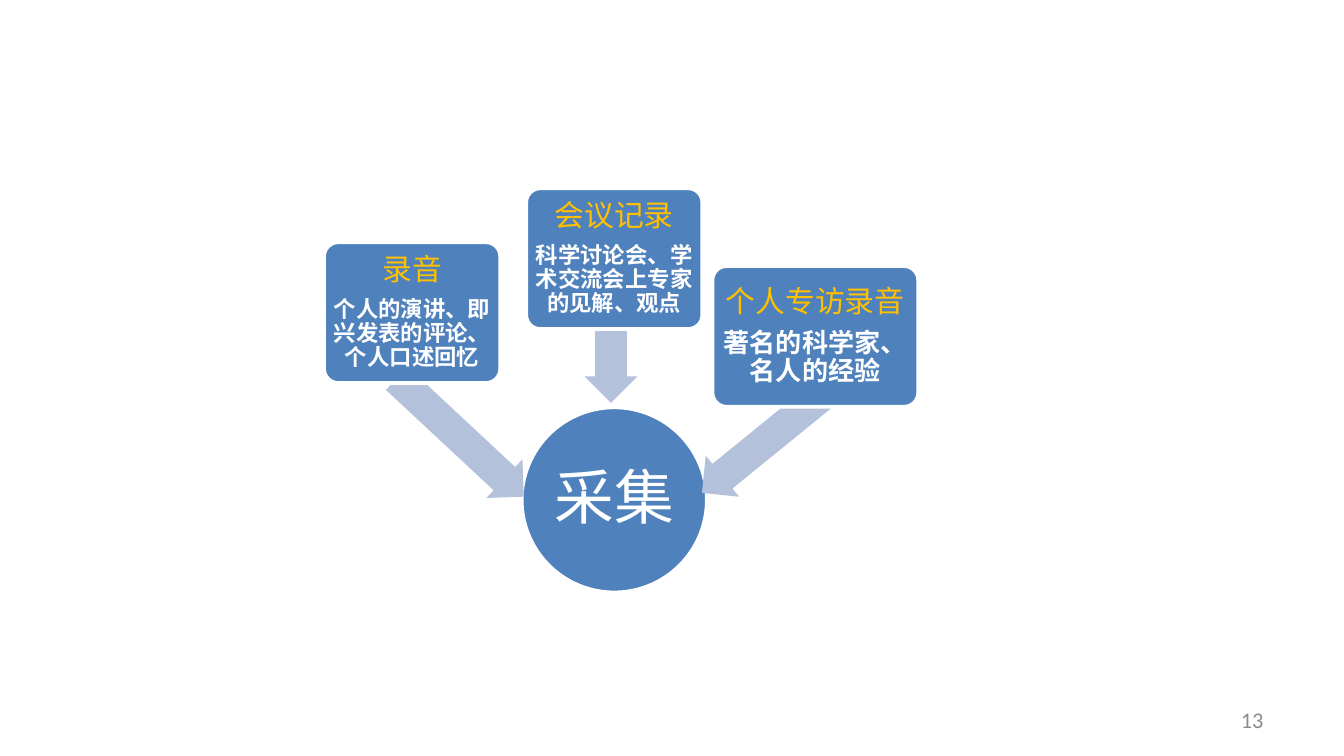
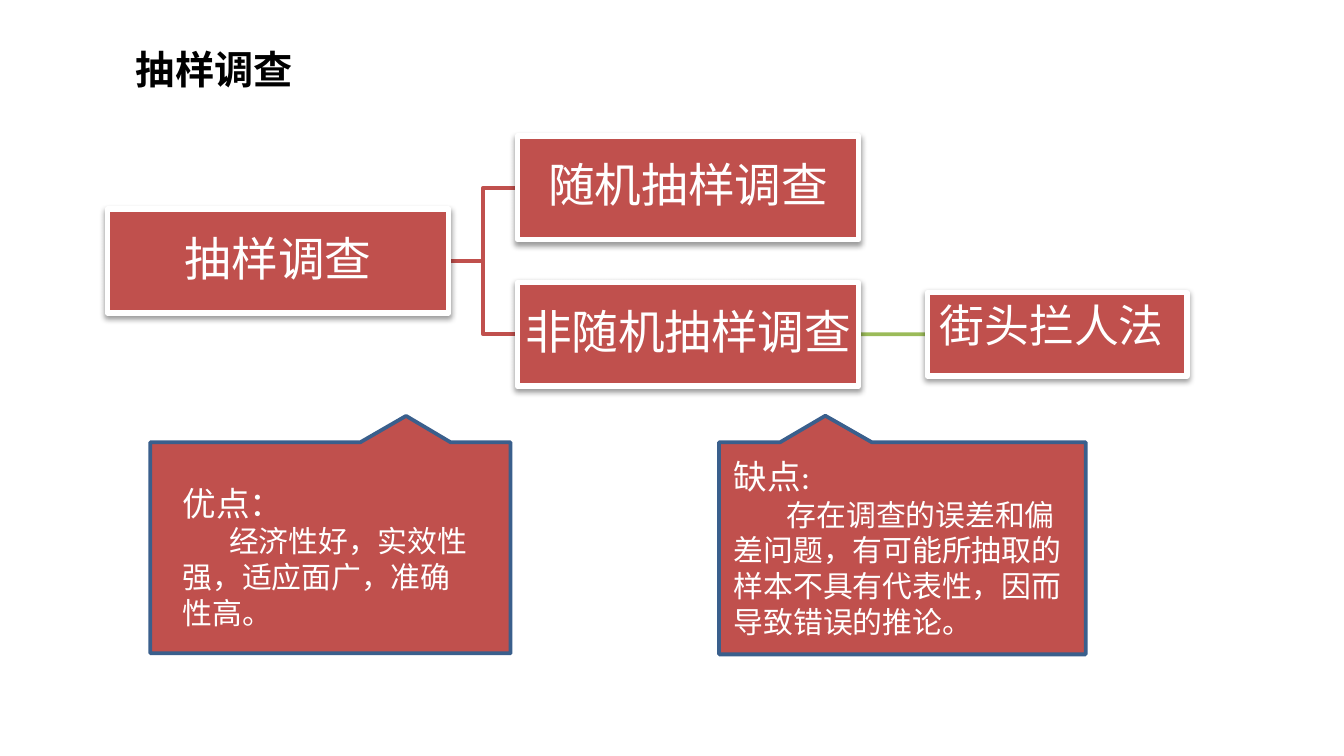
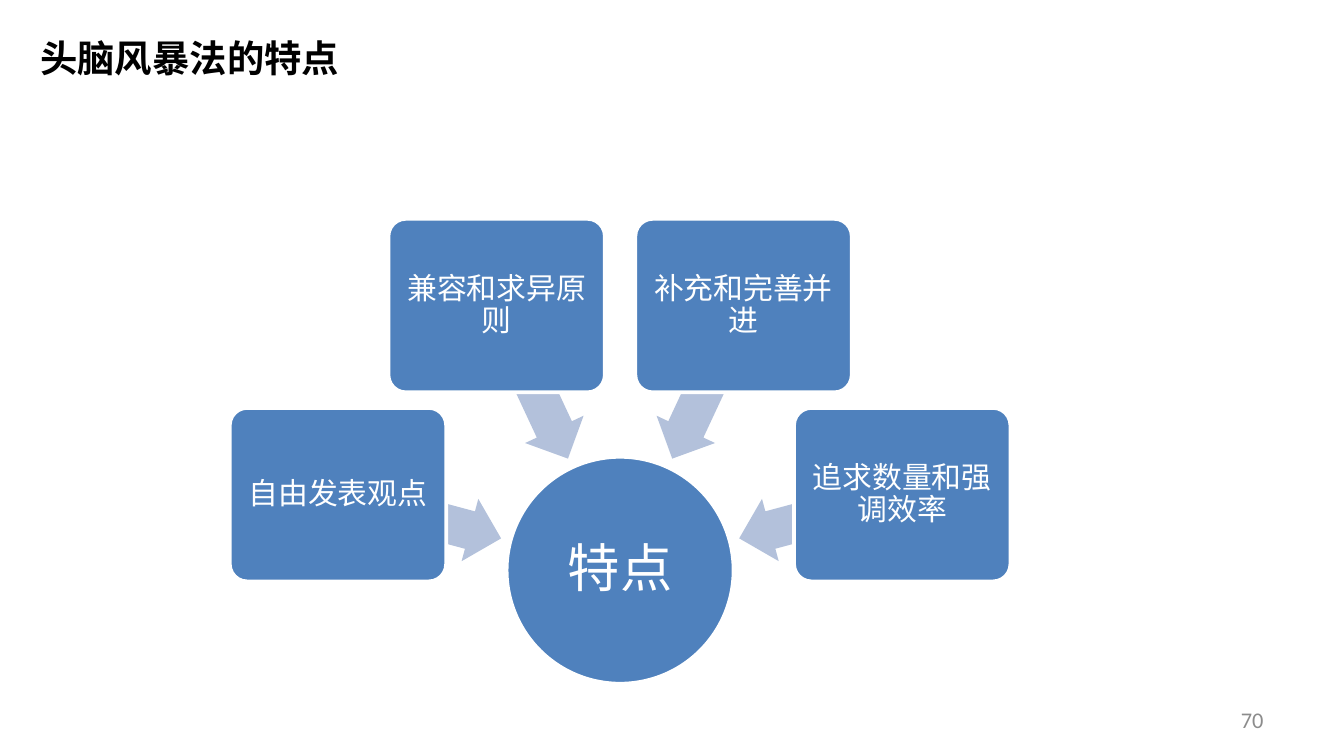
from math import cos, radians, sin

from lxml import etree
from pptx import Presentation
from pptx.dml.color import RGBColor
from pptx.enum.lang import MSO_LANGUAGE_ID
from pptx.enum.shapes import MSO_CONNECTOR, MSO_SHAPE
from pptx.enum.text import MSO_ANCHOR, MSO_AUTO_SIZE, PP_ALIGN
from pptx.oxml.ns import qn
from pptx.util import Cm, Pt

OVAL, RECTANGLE = MSO_SHAPE.OVAL, MSO_SHAPE.RECTANGLE
ROUNDED, LEFT_ARROW = MSO_SHAPE.ROUNDED_RECTANGLE, MSO_SHAPE.LEFT_ARROW
CALLOUT = MSO_SHAPE.RECTANGULAR_CALLOUT
ELBOW, STRAIGHT = MSO_CONNECTOR.ELBOW, MSO_CONNECTOR.STRAIGHT
LEFT, CENTER, RIGHT = PP_ALIGN.LEFT, PP_ALIGN.CENTER, PP_ALIGN.RIGHT
TOP, MIDDLE = MSO_ANCHOR.TOP, MSO_ANCHOR.MIDDLE
NO_FIT = MSO_AUTO_SIZE.NONE
CHINESE = MSO_LANGUAGE_ID.SIMPLIFIED_CHINESE

TITLE_ONLY, BLANK = 5, 6
LEFT_SIDE, RIGHT_SIDE = 1, 3
FONT, HEAVY_FONT = "Calibri", "Noto Sans CJK SC"
COLORS = {
    "white": "FFFFFF", "black": "000000", "gray": "8C8C8C", "gold": "FFC000",
    "blue": "4F81BD", "pale_blue": "B3C1DB", "navy": "3A5F8C",
    "red": "C0504D", "green": "9BBB59",
}
DIAGRAM_TEXT = {"align": CENTER, "line_spacing": 0.9, "space_after": 6}


def color(name):
    return RGBColor.from_string(COLORS[name])


def set_frame(frame, insets=(0.25, 0.13, 0.25, 0.13), anchor=TOP):
    """Set the wrapping, anchor and insets (left, top, right, bottom in cm)."""
    frame.word_wrap = True
    frame.auto_size = NO_FIT
    frame.vertical_anchor = anchor
    (frame.margin_left, frame.margin_top,
     frame.margin_right, frame.margin_bottom) = map(Cm, insets)


def add_text(frame, text, size=16, fill="white", bold=False, font=FONT,
             align=LEFT, line_spacing=None, space_after=0, indent=0):
    """Add a formatted paragraph, filling the empty first one if there is one."""
    paragraph = frame.add_paragraph() if frame.text else frame.paragraphs[0]
    paragraph.alignment = align
    paragraph.space_before = Pt(0)
    paragraph.space_after = Pt(space_after)
    if line_spacing:
        paragraph.line_spacing = line_spacing
    if indent:
        properties = paragraph._p.get_or_add_pPr()
        properties.set("marL", "0")
        properties.set("indent", str(Cm(indent)))
    run = paragraph.add_run()
    run.text = text
    run.font.size = Pt(size)
    run.font.bold = bold
    run.font.name = font
    run.font.language_id = CHINESE
    run.font.color.rgb = color(fill)
    etree.SubElement(run._r.get_or_add_rPr(), qn("a:ea"), typeface=font)


def add_block(slide, kind, left, top, width, height, fill,
              line=None, line_width=2):
    shape = slide.shapes.add_shape(kind, Cm(left), Cm(top), Cm(width), Cm(height))
    shape.shadow.inherit = False
    shape.fill.solid()
    shape.fill.fore_color.rgb = color(fill)
    if line:
        shape.line.color.rgb = color(line)
        shape.line.width = Pt(line_width)
    else:
        shape.line.fill.background()
    return shape


def add_centered_block(slide, kind, center, size, fill, line=None):
    (x, y), (width, height) = center, size
    return add_block(slide, kind, x - width / 2, y - height / 2,
                     width, height, fill, line)


def add_drop_shadow(shape):
    effects = shape.element.spPr.find(qn("a:effectLst"))
    shadow = etree.SubElement(effects, qn("a:outerShdw"), blurRad=str(Pt(3.1)),
                              dist=str(Pt(1.6)), dir="5400000", rotWithShape="0")
    tint = etree.SubElement(shadow, qn("a:srgbClr"), val=COLORS["black"])
    etree.SubElement(tint, qn("a:alpha"), val="38000")


def add_title(slide, text, left, top, width, height, size, font=FONT, **frame_format):
    title = slide.shapes.title
    title.left, title.top = Cm(left), Cm(top)
    title.width, title.height = Cm(width), Cm(height)
    set_frame(title.text_frame, **frame_format)
    add_text(title.text_frame, text, size=size, fill="black", bold=True, font=font)


def add_page_number(slide, number):
    box = slide.shapes.add_textbox(Cm(18.21), Cm(13.23), Cm(5.92), Cm(0.76))
    set_frame(box.text_frame, anchor=MIDDLE)
    add_text(box.text_frame, number, size=12, fill="gray", align=RIGHT)


def add_hub_diagram(slide, center, hub, spokes, arrow_height):
    """Draw a hub circle and its spokes; spoke offsets start at the hub's centre."""
    def from_center(offset):
        return center[0] + offset[0], center[1] + offset[1]

    hub_text, diameter, hub_size = hub
    circle = add_centered_block(slide, OVAL, center, (diameter, diameter),
                                "blue", "white")
    set_frame(circle.text_frame, (0.05,) * 4, MIDDLE)
    add_text(circle.text_frame, hub_text, size=hub_size, **DIAGRAM_TEXT)

    for spoke in spokes:
        arrow = add_centered_block(slide, LEFT_ARROW, from_center(spoke["arrow"]),
                                   (spoke["length"], arrow_height), "pale_blue")
        arrow.adjustments[0], arrow.adjustments[1] = 0.6, 0.5
        arrow.rotation = spoke["angle"]
        card = add_centered_block(slide, ROUNDED, from_center(spoke["card"]),
                                  spoke["size"], "blue", "white")
        card.adjustments[0] = 0.1
        set_frame(card.text_frame, (0.08,) * 4, MIDDLE)
        for text, text_format in spoke["lines"]:
            add_text(card.text_frame, text, **text_format, **DIAGRAM_TEXT)


def add_tree_box(slide, left, top, width, height, text, size=25,
                 insets=(0.05,) * 4, anchor=MIDDLE, **text_format):
    box = add_block(slide, RECTANGLE, left, top, width, height, "red", "white", 3)
    add_drop_shadow(box)
    set_frame(box.text_frame, insets, anchor)
    add_text(box.text_frame, text, size=size, **text_format)
    return box


def add_link(slide, kind, start, end, line):
    """Join two boxes, right side to left side, behind all boxes."""
    link = slide.shapes.add_connector(kind, 0, 0, 0, 0)
    link.begin_connect(start, RIGHT_SIDE)
    link.end_connect(end, LEFT_SIDE)
    link.line.color.rgb = color(line)
    link.line.width = Pt(2)
    etree.SubElement(link.element.spPr, qn("a:effectLst"))
    link.element.getparent().insert(2, link.element)


def add_survey_tree(slide, left, top):
    width, height, column_step, row_step = 6.45, 1.96, 7.75, 2.77
    leaf_width, leaf_height = 4.9, 1.58
    root = add_tree_box(slide, left, top + row_step / 2, width, height,
                        "抽样调查", **DIAGRAM_TEXT)
    for row, text in enumerate(("随机抽样调查", "非随机抽样调查")):
        branch = add_tree_box(slide, left + column_step, top + row * row_step,
                              width, height, text, **DIAGRAM_TEXT)
        add_link(slide, ELBOW, root, branch, "red")
    leaf_top = top + row_step + (height - leaf_height) / 2
    leaf = add_tree_box(slide, left + 2 * column_step, leaf_top, leaf_width,
                        leaf_height, "街头拦人法", size=24,
                        insets=(0.23, 0.1, 0.1, 0.1), anchor=TOP)
    add_link(slide, STRAIGHT, branch, leaf, "green")


def add_callout(slide, left, top, width, height, tip, insets, heading, body, indent):
    callout = add_block(slide, CALLOUT, left, top, width, height, "red", "navy")
    callout.adjustments[0], callout.adjustments[1] = tip, -0.625
    set_frame(callout.text_frame, insets)
    add_text(callout.text_frame, heading, size=18)
    add_text(callout.text_frame, body, indent=indent)


def build_collection_slide(presentation):
    slide = presentation.slides.add_slide(presentation.slide_layouts[BLANK])
    add_page_number(slide, "13")
    rows = (
        ("录音", "个人的演讲、即兴发表的评论、个人口述回忆", 12,
         (-2.91, -1.18), 3.28, 223, (-3.82, -3.54), 3.33),
        ("会议记录", "科学讨论会、学术交流会上专家的见解、观点", 12,
         (-0.06, -2.71), 1.75, 270, (0, -4.56), 3.33),
        ("个人专访录音", "著名的科学家、名人的经验", 14,
         (2.82, -1.08), 3, 320.9, (3.8, -3.09), 3.89),
    )
    spokes = [
        {"arrow": arrow, "length": length, "angle": angle,
         "card": card, "size": (width, 2.66),
         "lines": [(heading, {"fill": "gold"}),
                   (body, {"size": body_size, "bold": True})]}
        for heading, body, body_size, arrow, length, angle, card, width in rows
    ]
    add_hub_diagram(slide, (11.61, 9.45), ("采集", 3.5, 32), spokes, 1)


def build_sampling_slide(presentation):
    slide = presentation.slides.add_slide(presentation.slide_layouts[TITLE_ONLY])
    add_title(slide, "抽样调查", 2.39, 0.76, 3.4, 1.09, 21, HEAVY_FONT,
              insets=(0.18, 0.1, 0.18, 0.1))
    add_survey_tree(slide, 2.03, 2.57)
    add_callout(slide, 2.84, 8.36, 6.81, 3.99, 0.21, (0.61, 0.76, 0.71, 0.13),
                "优点：", "经济性好，实效性强，适应面广，准确性高。", 0.88)
    add_callout(slide, 13.59, 8.36, 6.93, 4.01, -0.21, (0.28, 0.26, 0.43, 0.13),
                "缺点:", "存在调查的误差和偏差问题，有可能所抽取的样本不具有代表性，"
                "因而导致错误的推论。", 1)


def build_brainstorm_slide(presentation):
    slide = presentation.slides.add_slide(presentation.slide_layouts[TITLE_ONLY])
    add_page_number(slide, "70")
    add_title(slide, "头脑风暴法的特点", 0.51, 0.53, 9.4, 1.12, 20)

    def polar(radius, angle):
        return radius * cos(radians(angle)), radius * sin(radians(angle))

    features = ("自由发表观点", "兼容和求异原则", "补充和完善并进", "追求数量和强调效率")
    spokes = [
        {"arrow": polar(3.93, angle), "length": 3.2, "angle": angle,
         "card": polar(5.52, angle), "size": (4.09, 3.28), "lines": [(text, {})]}
        for text, angle in zip(features, range(195, 360, 50))
    ]
    add_hub_diagram(slide, (11.72, 10.78), ("特点", 4.29, 28), spokes, 1.22)


def main():
    presentation = Presentation()
    presentation.slide_width, presentation.slide_height = Cm(25.4), Cm(14.29)
    build_collection_slide(presentation)
    build_sampling_slide(presentation)
    build_brainstorm_slide(presentation)
    presentation.save("out.pptx")


if __name__ == "__main__":
    main()
